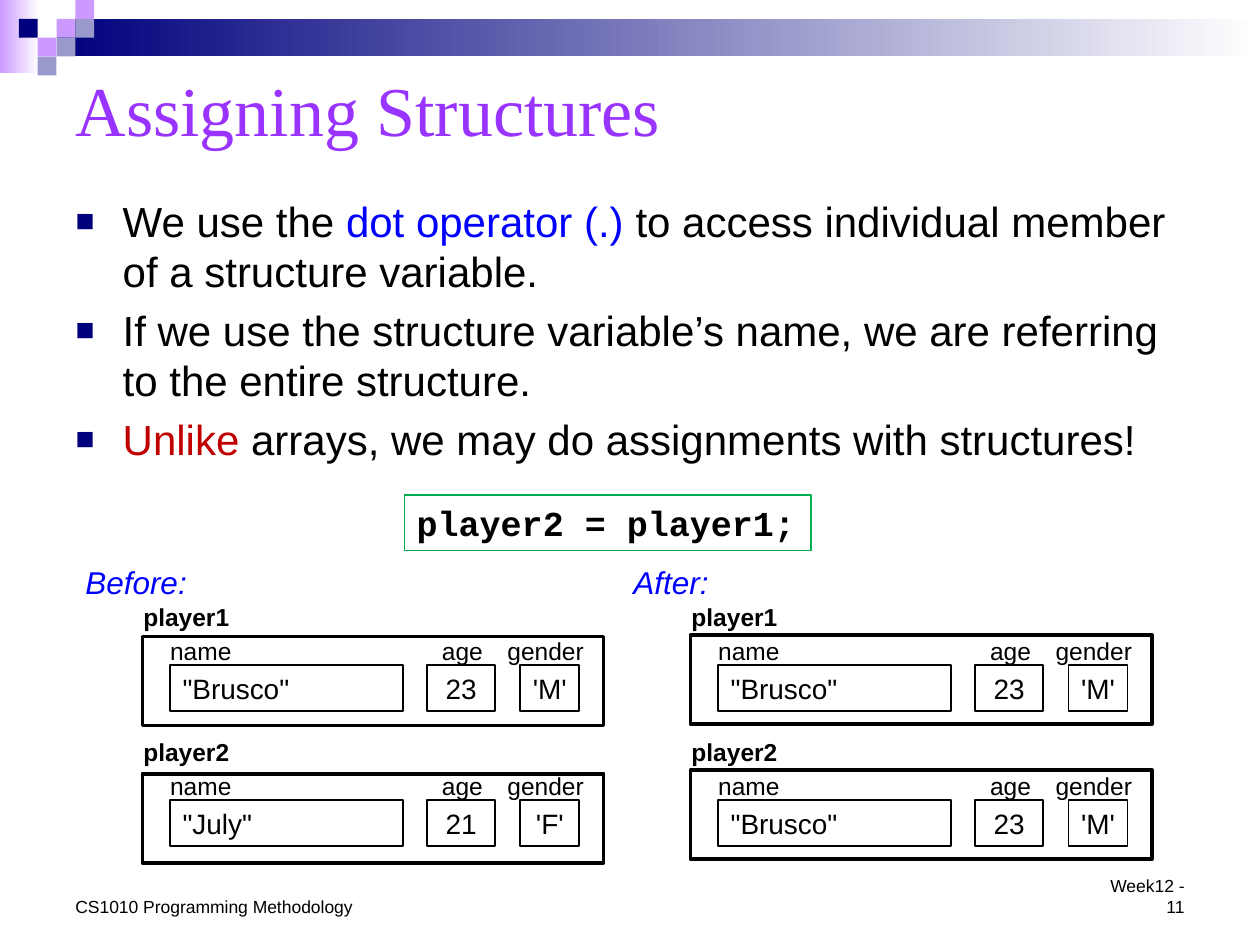
from lxml import etree
from pptx import Presentation
from pptx import util as u
from pptx.dml.color import RGBColor
from pptx.enum import shapes, text
from pptx.oxml.ns import qn

THEME = {
    "sans": "Arial", "serif": "Times New Roman", "mono": "Courier New",
    "black": "000000", "white": "FFFFFF", "navy": "00007D", "lilac": "CC99FF",
    "slate": "9999CC", "purple": "9933FF", "blue": "0000FF", "red": "C00000",
    "green": "00B050",
    "title": 40, "body": 24, "code": 20, "heading": 18, "value": 16,
    "label": 14, "footer": 10,
}

TITLE = "Assigning Structures"
BULLETS = [
    [("We use the ", "black"), ("dot operator (.) ", "blue"),
     ("to access individual member of a structure variable.", "black")],
    [("If we use the structure variable’s name, we are referring to the entire structure.", "black")],
    [("Unlike ", "red"), ("arrays, we may do assignments with structures!", "black")],
]
CODE = "player2 = player1;"
FOOTER = "CS1010 Programming Methodology"
PAGE_NUMBER = "Week12 - 11"

STATES = [
    ("Before:", [("player1", ('"Brusco"', "23", "'M'"), 12.83),
                 ("player2", ('"July"', "21", "'F'"), 15.6)]),
    ("After:", [("player1", ('"Brusco"', "23", "'M'"), 12.8),
                ("player2", ('"Brusco"', "23", "'M'"), 15.52)]),
]
MEMBERS = [
    ("name", 3.18, 1.75, 3.43, 4.7),
    ("age", 8.66, 1.35, 8.61, 1.37),
    ("gender", 9.98, 2.06, 10.49, 1.19),
]
STATE_PITCH, PLAYER_PITCH = 11.05, 2.72
FRAME_WIDTH, FRAME_HEIGHT = 9.3, 1.8

BANDS = [((0, 0, 0.79, 1.47), "lilac"), ((1.14, 0.38, 24.26, 0.76), "navy")]
TILE = 0.38
TILES = [(3, 1, "lilac"), (4, 0, "lilac"), (4, 1, "slate"), (2, 2, "lilac"),
         (1, 1, "navy"), (3, 2, "slate"), (2, 3, "slate")]


def color(name):
    return RGBColor.from_string(THEME[name])


def style(font, size, face="sans", shade="black", bold=False, italic=False):
    font.size, font.name = u.Pt(THEME[size]), THEME[face]
    font.color.rgb = color(shade)
    font.bold, font.italic = bold, italic


def place(shape, left, top, width, height):
    shape.left, shape.top = u.Cm(left), u.Cm(top)
    shape.width, shape.height = u.Cm(width), u.Cm(height)


def write(box, words, size, wrap=False, align=text.PP_ALIGN.LEFT,
          anchor=text.MSO_ANCHOR.TOP, **look):
    frame = box.text_frame
    frame.text = words
    frame.word_wrap, frame.vertical_anchor = wrap, anchor
    frame.auto_size = text.MSO_AUTO_SIZE.NONE
    para = frame.paragraphs[0]
    para.alignment = align
    for span in para.runs:
        style(span.font, size, **look)


def add_text(parent, area, words, size, **options):
    box = parent.shapes.add_textbox(*map(u.Cm, area))
    write(box, words, size, **options)


def add_box(parent, area, fill=None, line=None, weight=1):
    box = parent.shapes.add_shape(shapes.MSO_SHAPE.RECTANGLE, *map(u.Cm, area))
    box.shadow.inherit = False
    if fill:
        box.fill.solid()
        box.fill.fore_color.rgb = color(fill)
    else:
        box.fill.background()
    if line:
        box.line.color.rgb = color(line)
        box.line.width = u.Pt(weight)
    else:
        box.line.fill.background()
    return box


def add_bullet(para):
    props = para._p.get_or_add_pPr()
    props.set("marL", str(u.Cm(0.95)))
    props.set("indent", str(u.Cm(-0.95)))
    tint = etree.SubElement(props, qn("a:buClr"))
    etree.SubElement(tint, qn("a:srgbClr"), val=THEME["navy"])
    etree.SubElement(props, qn("a:buSzPct"), val="75000")
    etree.SubElement(props, qn("a:buFont"), typeface=THEME["sans"])
    etree.SubElement(props, qn("a:buChar"), char="■")


def add_decoration(page):
    for area, shade in BANDS:
        band = add_box(page, area, shade)
        band.fill.gradient()
        band.fill.gradient_angle = 0
        for stop, tone in zip(band.fill.gradient_stops, (shade, "white")):
            stop.color.rgb = color(tone)
    for column, row, shade in TILES:
        add_box(page, (column * TILE, row * TILE, TILE, TILE), shade)


def fill_body(body):
    place(body, 1.27, 3.81, 22.86, 5.79)
    frame = body.text_frame
    frame.auto_size = text.MSO_AUTO_SIZE.NONE
    for index, parts in enumerate(BULLETS):
        para = frame.add_paragraph() if index else frame.paragraphs[0]
        add_bullet(para)
        para.space_before = u.Pt(4.8 if index else 0)
        for words, shade in parts:
            span = para.add_run()
            span.text = words
            style(span.font, "body", shade=shade)


def add_player(group, shift, drop, name, values, frame_top):
    for (member, label_left, label_width, left, width), value in zip(MEMBERS, values):
        cell = add_box(group, (left + shift, 13.41 + drop, width, 0.92), "white", "black")
        align = text.PP_ALIGN.LEFT if member == "name" else text.PP_ALIGN.CENTER
        write(cell, value, "value", align=align)
        add_text(group, (label_left + shift, 12.7 + drop, label_width, 0.86), member, "label")
    add_text(group, (2.64 + shift, 12.01 + drop, 2.24, 0.86), name, "label",
             wrap=True, bold=True)
    add_box(group, (2.87 + shift, frame_top, FRAME_WIDTH, FRAME_HEIGHT),
            line="black", weight=2)


def main():
    deck = Presentation()
    deck.slide_width, deck.slide_height = u.Cm(25.4), u.Cm(19.05)
    page = deck.slides.add_slide(deck.slide_layouts[1])
    add_decoration(page)

    title, body = page.placeholders
    place(title, 1.27, 1.07, 22.86, 2.24)
    write(title, TITLE, "title", wrap=True, anchor=text.MSO_ANCHOR.MIDDLE,
          face="serif", shade="purple")
    fill_body(body)

    add_text(page, (1.27, 17.93, 6.15, 0.69), FOOTER, "footer")
    add_text(page, (21.79, 17.93, 2.34, 0.69), PAGE_NUMBER, "footer", wrap=True,
             align=text.PP_ALIGN.RIGHT, anchor=text.MSO_ANCHOR.BOTTOM)
    code = add_box(page, (8.15, 9.98, 8.2, 1.12), "white", "green", 0.75)
    write(code, CODE, "code", face="mono", bold=True)

    for column, (heading, players) in enumerate(STATES):
        group = page.shapes.add_group_shape()
        shift = column * STATE_PITCH
        for row, player in enumerate(players):
            add_player(group, shift, row * PLAYER_PITCH, *player)
        add_text(group, (1.47 + shift, 11.23, 2.87, 1.02), heading, "heading",
                 shade="blue", italic=True)
    deck.save("out.pptx")


if __name__ == "__main__":
    main()
